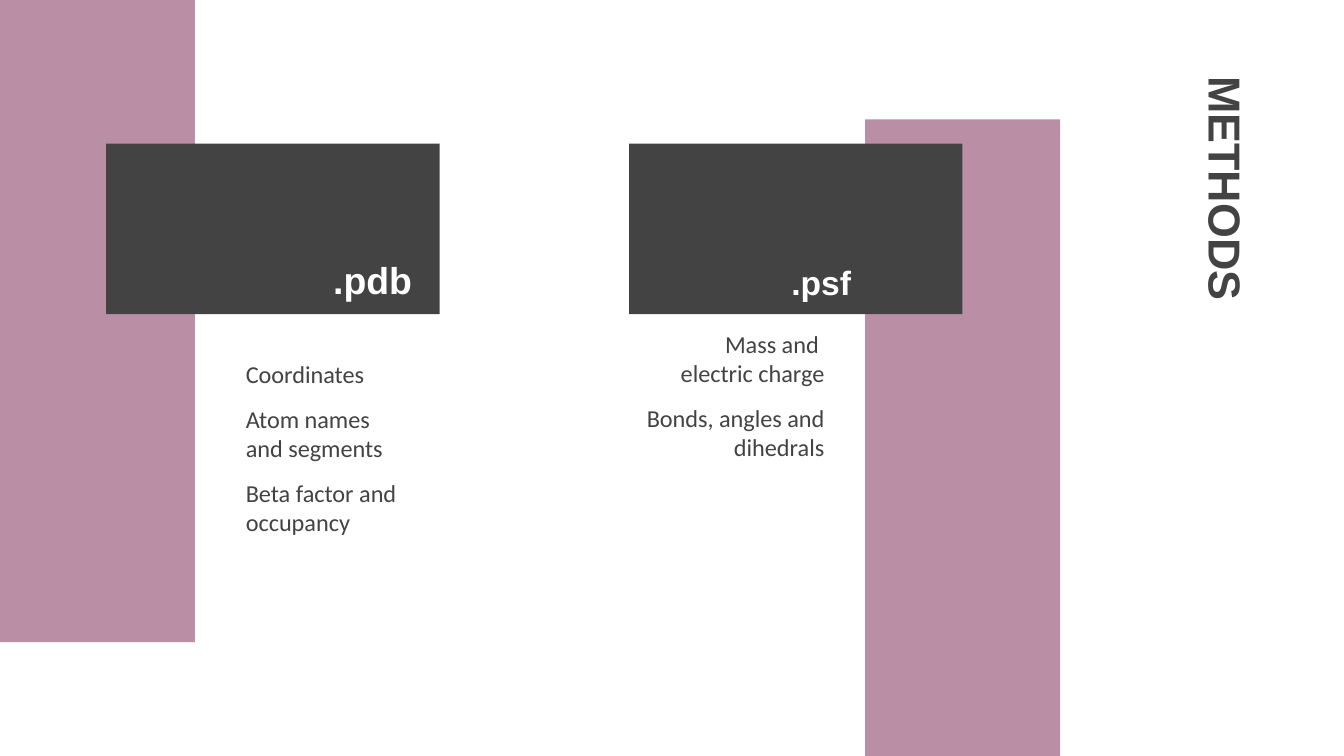
from dataclasses import dataclass

from lxml.etree import SubElement
from pptx import Presentation
from pptx.dml.color import RGBColor
from pptx.enum.shapes import MSO_SHAPE
from pptx.enum.text import MSO_ANCHOR, PP_ALIGN
from pptx.oxml.ns import qn
from pptx.util import Pt


@dataclass(frozen=True)
class Theme:
    """Colours, fonts and type sizes of the slide."""
    mauve: str = "A16685"
    mauve_alpha: int = 73
    dark: str = "434343"
    white: str = "FFFFFF"
    head_font: str = "Arial"
    body_font: str = "Calibri"
    title: int = 24
    body: int = 13
    inset: float = 7.2
    gap: float = 8.54


THEME = Theme()


def add_rect(s, box, color, alpha=None):
    """Draw a borderless rectangle, optionally translucent."""
    sp = s.shapes.add_shape(MSO_SHAPE.RECTANGLE, *map(Pt, box))
    sp.shadow.inherit = False
    sp.line.fill.background()
    sp.fill.solid()
    sp.fill.fore_color.rgb = RGBColor.from_string(color)
    if alpha is not None:
        clr = sp.fill._xPr.find(qn("a:solidFill"))[0]
        SubElement(clr, qn("a:alpha")).set("val", str(alpha * 1000))


def add_text(s, box, lines, fmt, align, anchor, top=THEME.inset):
    """Place a text box of (text, space before) lines and return it."""
    sp = s.shapes.add_textbox(*map(Pt, box))
    tf = sp.text_frame
    frame = {"word_wrap": True, "vertical_anchor": anchor, "margin_top": Pt(top)}
    for side in ("left", "right", "bottom"):
        frame[f"margin_{side}"] = Pt(THEME.inset)
    for name, value in frame.items():
        setattr(tf, name, value)
    for i, (text, before) in enumerate(lines):
        p = tf.add_paragraph() if i else tf.paragraphs[0]
        p.alignment = align
        if before:
            p.space_before = Pt(before)
        r = p.add_run()
        r.text = text
        for name, value in fmt.items():
            if name == "color":
                r.font.color.rgb = RGBColor.from_string(value)
            else:
                setattr(r.font, name, value)
    return sp


def heading_format(size, color):
    """Return the bold heading format."""
    return {"name": THEME.head_font, "size": Pt(size), "bold": True, "color": color}


def add_file_panel(s, box, bar, label, size, label_span, body, lines, align):
    """Draw a file type card over its bar, with label and contents below."""
    x, y, w, h = box
    dx, dy = bar
    add_rect(s, (x + dx, y + dy, 104.4, 344), THEME.mauve, THEME.mauve_alpha)
    add_rect(s, box, THEME.dark)
    label_dx, label_w = label_span
    add_text(s, (x + label_dx, y + 62, label_w, 30.2), [(label, 0)],
             heading_format(size, THEME.white), align, MSO_ANCHOR.BOTTOM)
    body_dx, body_w, body_h, top = body
    fmt = {"name": THEME.body_font, "size": Pt(THEME.body), "color": THEME.dark}
    add_text(s, (x + body_dx, y + 92.2, body_w, body_h), lines, fmt,
             align, MSO_ANCHOR.TOP, top)


def add_side_title(s, box, text):
    """Set the slide title reading downwards inside the given tall box."""
    x, y, w, h = box
    flat = (x + (w - h) / 2, y + (h - w) / 2, h, w)
    sp = add_text(s, flat, [(text, 0)], heading_format(THEME.title, THEME.dark),
                  PP_ALIGN.LEFT, MSO_ANCHOR.MIDDLE)
    sp.rotation = 90


def main():
    """Build and save the slide."""
    prs = Presentation()
    prs.slide_width, prs.slide_height = Pt(720), Pt(405)
    s = prs.slides.add_slide(prs.slide_layouts[6])
    add_file_panel(
        s, (56.9, 77, 178.6, 91.4), (-56.9, -77), ".pdb", 20, (114.5, 159.1),
        (67.7, 123.8, 157.7, 23),
        [("Coordinates", 0), ("Atom names", THEME.gap), ("and segments", 0),
         ("Beta factor and occupancy", THEME.gap)], PP_ALIGN.LEFT)
    add_file_panel(
        s, (337, 77, 178.6, 91.4), (126.5, -13), ".psf", 18, (-80, 206),
        (-16.6, 128.2, 87.8, THEME.inset),
        [("Mass and ", 0), ("electric charge", 0),
         ("Bonds, angles and dihedrals", THEME.gap)], PP_ALIGN.RIGHT)
    add_side_title(s, (638, 33.8, 38.2, 274.3), "METHODS")
    prs.save("out.pptx")


if __name__ == "__main__":
    main()
